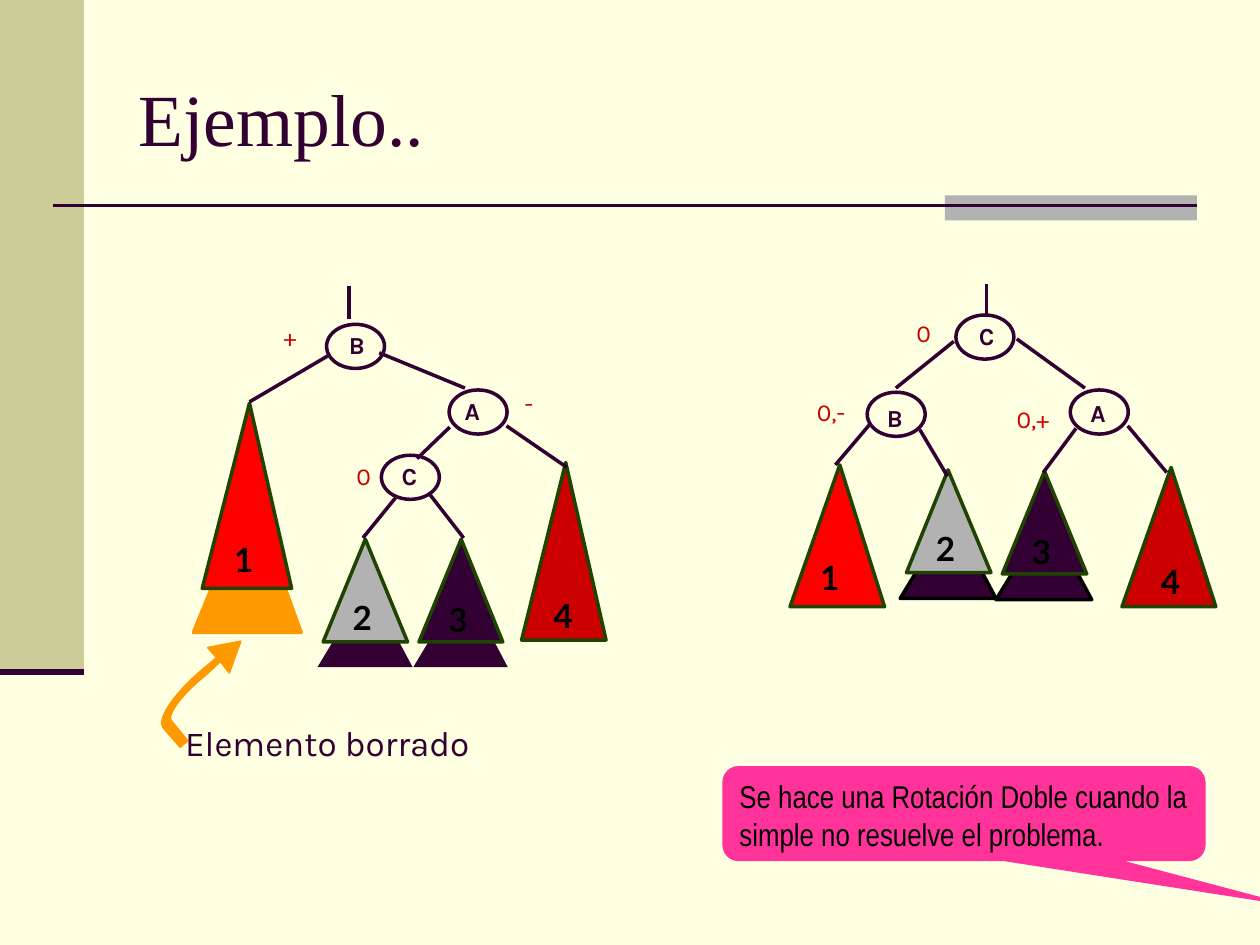
from pptx import Presentation
from pptx.dml.color import RGBColor
from pptx.enum.shapes import MSO_CONNECTOR, MSO_SHAPE
from pptx.enum.text import MSO_ANCHOR, MSO_AUTO_SIZE, PP_ALIGN
from pptx.oxml.ns import qn
from pptx.util import Inches, Pt
from lxml.etree import SubElement

ink = {
    "cream": "FFFFE1", "olive": "CCCC99", "gray": "B2B2B2", "plum": "330033",
    "orange": "FF9900", "red": "FF0000", "dark": "CC0000", "moss": "1F4300",
    "black": "000000", "pink": "FF3399",
}
deck = Presentation()
deck.slide_width, deck.slide_height = Inches(10), Inches(7.5)
col, row = deck.slide_width / 100, deck.slide_height / 75
slide = deck.slides.add_slide(deck.slide_layouts[6])
slide.background.fill.solid()
slide.background.fill.fore_color.rgb = RGBColor.from_string(ink["cream"])
shapes = slide.shapes


def put(text, x, y, w, h, size=14, font="Karla", color="plum", bold=False,
        wrap=False, anchor=MSO_ANCHOR.TOP, form=None):
    box = (round(x * col), round(y * row), round(w * col), round(h * row))
    item = shapes.add_shape(form, *box) if form else shapes.add_textbox(*box)
    frame = item.text_frame
    frame.word_wrap = wrap
    frame.vertical_anchor = anchor
    if not wrap:
        frame.auto_size = MSO_AUTO_SIZE.SHAPE_TO_FIT_TEXT
    part = frame.paragraphs[0]
    part.text = text
    part.alignment = PP_ALIGN.LEFT
    part.font.size, part.font.name, part.font.bold = Pt(size), font, bold
    part.font.color.rgb = RGBColor.from_string(ink[color])
    return item


def paint(item, fill=None, line=None, width=2):
    item.shadow.inherit = False
    if fill:
        item.fill.solid()
        item.fill.fore_color.rgb = RGBColor.from_string(ink[fill])
    else:
        item.fill.background()
    if line:
        item.line.color.rgb = RGBColor.from_string(ink[line])
        item.line.width = Pt(width)
    else:
        item.line.fill.background()


for x, y, w, h, fill in [(0, 0, 6.67, 53.3, "olive"), (75, 15.5, 20, 2, "gray")]:
    bar = shapes.add_shape(MSO_SHAPE.RECTANGLE, round(x * col), round(y * row),
                           round(w * col), round(h * row))
    paint(bar, fill)

put("Ejemplo..", 10, 3.05, 85, 12.5, size=42, font="Times New Roman",
    wrap=True, anchor=MSO_ANCHOR.MIDDLE)

curves = [
    [(13, 57.8), (12.4, 57.1), (13.8, 55.1), (16, 53.2)],
    [(16.3, 53.6), (14.4, 55.1), (13.2, 56.8), (13.6, 57.2)],
]
outer, inner = [
    [tuple((1 - t) ** 3 * a + 3 * t * (1 - t) ** 2 * b
           + 3 * t * t * (1 - t) * c + t ** 3 * d
           for a, b, c, d in zip(*curve))
     for t in [n / 16 for n in range(17)]]
    for curve in curves
]
arrow = ([(14.3, 59.3)] + outer
         + [(17.2, 52.2), (16.5, 51.4), (19.1, 50.9), (18.2, 53.4), (17.5, 52.5)]
         + inner + [(14.9, 58.8)])

cones = [
    (36.8, 46.3, 32.8, 40.3, 52.95, "plum", None),
    (29.2, 46.3, 25.2, 32.75, 52.95, "plum", None),
    (19.9, 39.1, 15.35, 23.9, 50.2, "orange", "orange"),
    (19.8, 32, 16.05, 23.15, 46.7, "red", "moss"),
    (44.9, 36.7, 41.4, 48.1, 50.8, "dark", "moss"),
    (29, 42.8, 25.65, 32.35, 50.95, "gray", "moss"),
    (36.6, 42.8, 33.25, 39.9, 50.95, "plum", "moss"),
    (66.65, 36.9, 62.7, 70.2, 48.15, "red", "moss"),
    (92.95, 37.1, 89.05, 96.5, 48.15, "dark", "moss"),
    (75.5, 40.8, 71.45, 79.05, 47.5, "plum", "black"),
    (75.25, 37.3, 71.95, 78.65, 45.45, "gray", "moss"),
    (83.1, 41, 79.05, 86.65, 47.6, "plum", "black"),
    (82.9, 37.4, 79.55, 86.25, 45.55, "plum", "moss"),
]
plans = [([(x, y), (left, base), (right, base)], fill, line, 2)
         for x, y, left, right, base, fill, line in cones]
plans.append((arrow, "orange", "orange", 1))
for points, fill, line, width in plans:
    dots = [(round(x * col), round(y * row)) for x, y in points]
    path = shapes.build_freeform(*dots[0], scale=1.0)
    path.add_line_segments(dots[1:], close=True)
    paint(path.convert_to_shape(), fill, line, width)

edges = [
    (19.8, 31.9, 26.1, 28.2), (30.1, 28, 36.9, 30.8), (35.7, 33.9, 33.1, 36.4),
    (40.2, 33.8, 45, 37.1), (27.7, 22.7, 27.7, 25.3), (31.4, 39.5, 28.8, 42.7),
    (34, 39.1, 36.8, 42.7), (71.1, 30.8, 75.7, 27.1), (80.7, 26.9, 86.1, 30.8),
    (85.4, 34, 82.8, 37.5), (89.5, 33.8, 92.6, 37.5), (78.3, 22.5, 78.3, 25.1),
    (66.3, 36.9, 69.1, 33.6), (73, 34.1, 75.2, 37.8),
]
rules = [(4.17, 16.33, 95, 16.33, 1.5), (0, 53.3, 6.67, 53.3, 3.5)]
for x, y, right, low, width in rules + [(*edge, 2) for edge in edges]:
    link = shapes.add_connector(MSO_CONNECTOR.STRAIGHT, round(x * col),
                                round(y * row), round(right * col), round(low * row))
    link.line.color.rgb = RGBColor.from_string(ink["plum"])
    link.line.width = Pt(width)
    SubElement(link._element.spPr, qn("a:effectLst"))

nodes = [
    ("B", 25.92, 25.74, 26.7, 25.7), ("A", 35.65, 30.95, 35.9, 30.9),
    ("C", 30.27, 36.13, 30.9, 36.1), ("C", 75.87, 25, 76.7, 25),
    ("B", 68.83, 31.13, 69.4, 31.5), ("A", 84.95, 30.95, 85.55, 31.1),
]
for name, x, y, left, top in nodes:
    ring = shapes.add_shape(MSO_SHAPE.OVAL, round(x * col), round(y * row),
                            round(4.6 * col), round(3.5 * row))
    paint(ring, line="plum")
    put(name, left, top, 3.3, 3.3, bold=True)

signs = [
    ("+", 21.52, 25.05, 3.1), ("0", 27.3, 36.1, 3.1), ("-", 40.65, 30.3, 2.6),
    ("0", 71.75, 24.75, 3.1), ("0,+", 79.7, 31.6, 4.8), ("0,-", 63.85, 31, 4.3),
]
for sign, x, y, w in signs:
    put(sign, x, y, w, 3.3, color="dark")

marks = [
    ("1", 17.6, 42.3), ("2", 27, 46.9), ("3", 34.6, 47.1), ("4", 42.95, 46.75),
    ("1", 64.1, 43.7), ("2", 73.3, 41.4), ("3", 80.9, 41.7), ("4", 91.15, 44.05),
]
for mark, x, y in marks:
    put(mark, x, y, 3.5, 4.2, size=19, font="Lato", color="black", bold=True)

put("Elemento borrado", 13.7, 56.75, 25.8, 4.3, size=20)

note = put("Se hace una Rotación Doble cuando la simple no resuelve el problema.",
           57.33, 60.8, 38.35, 7.55, size=18, font="Arial Narrow", color="black",
           wrap=True, form=MSO_SHAPE.ROUNDED_RECTANGULAR_CALLOUT)
paint(note, "pink")
for n, share in enumerate([0.69, 0.98, 0.17]):
    note.adjustments[n] = share

deck.save("out.pptx")
